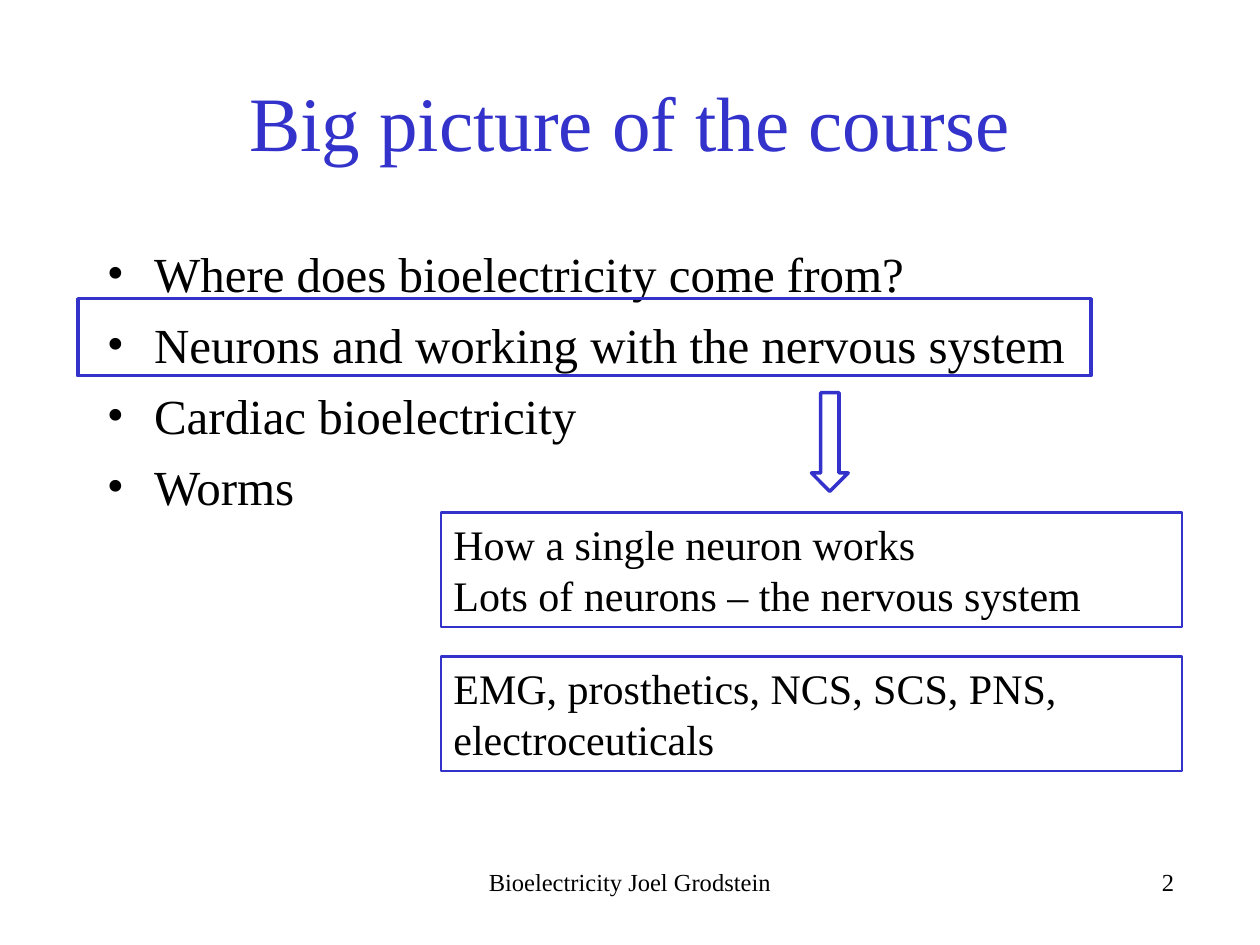
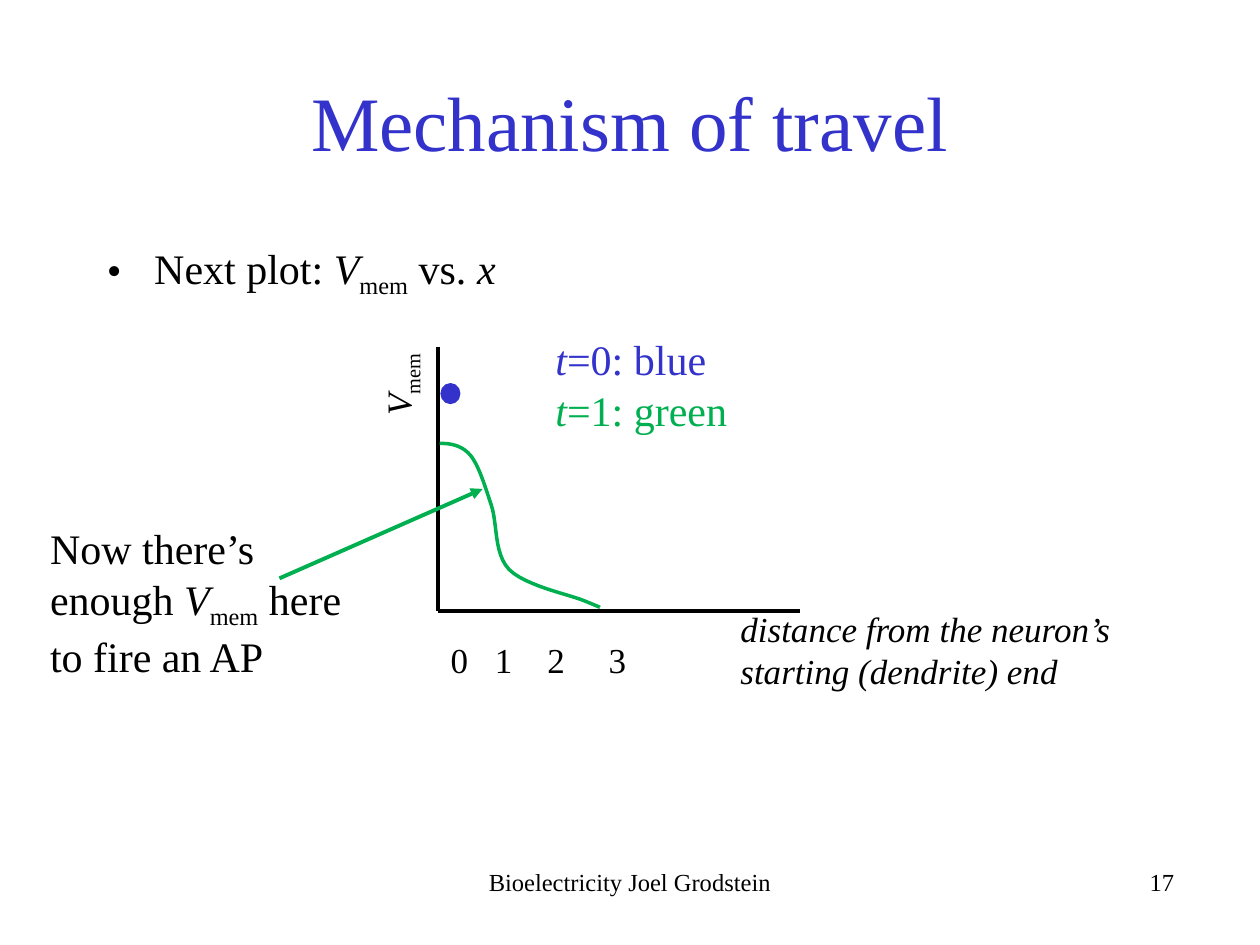
from lxml import etree
from pptx import Presentation
from pptx.dml.color import RGBColor
from pptx.enum.shapes import MSO_CONNECTOR, MSO_SHAPE
from pptx.enum.text import MSO_ANCHOR, PP_ALIGN
from pptx.oxml.ns import qn
from pptx.util import Pt

LEFT, CENTER, RIGHT = PP_ALIGN.LEFT, PP_ALIGN.CENTER, PP_ALIGN.RIGHT
TOP, MIDDLE = MSO_ANCHOR.TOP, MSO_ANCHOR.MIDDLE
RECT, OVAL, DOWN_ARROW = MSO_SHAPE.RECTANGLE, MSO_SHAPE.OVAL, MSO_SHAPE.DOWN_ARROW
STRAIGHT = MSO_CONNECTOR.STRAIGHT

FONT = "Times New Roman"
COLORS = {"text": "000000", "blue": "3333CC", "green": "00B050"}
FOOTER = "Bioelectricity Joel Grodstein"
INDENT = 27
V_MEM = [("V", "italic"), ("mem", "sub")]


def color(name):
    return RGBColor.from_string(COLORS[name])


def bezier(p0, p1, p2, p3, steps=12):
    """Points along a cubic curve, without its start."""
    for n in range(1, steps + 1):
        t = n / steps
        u = 1 - t
        yield tuple(u**3 * a + 3 * u * u * t * b + 3 * u * t * t * c + t**3 * d
                    for a, b, c, d in zip(p0, p1, p2, p3))


class Deck:
    def __init__(self):
        self.prs = Presentation()
        self.prs.slide_width, self.prs.slide_height = Pt(720), Pt(540)
        self.s = None

    def slide(self, title, number):
        self.s = self.prs.slides.add_slide(self.prs.slide_layouts[6])
        self.text((54, 24, 612, 90), [title], 44, "blue", CENTER, MIDDLE)
        self.text((246, 492, 228, 24), [FOOTER], 14, align=CENTER)
        self.text((450, 492, 228, 36), [str(number)], 14, align=RIGHT)

    def text(self, box, paragraphs, size, ink="text", align=LEFT, anchor=TOP):
        """Each paragraph is a string or a list of (text, style) pieces."""
        sp = self.s.shapes.add_textbox(*map(Pt, box))
        tf = sp.text_frame
        tf.word_wrap = True
        tf.vertical_anchor = anchor
        for n, content in enumerate(paragraphs):
            p = tf.add_paragraph() if n else tf.paragraphs[0]
            p.alignment = align
            pieces = [(content, "")] if isinstance(content, str) else content
            for piece, style in pieces:
                r = p.add_run()
                r.text = piece
                r.font.name, r.font.size = FONT, Pt(size)
                r.font.color.rgb = color(ink)
                r.font.italic = style == "italic"
                if style == "sub":
                    r._r.get_or_add_rPr().set("baseline", "-25000")
        return sp

    def bullets(self, box, paragraphs, size):
        sp = self.text(box, paragraphs, size)
        for n, p in enumerate(sp.text_frame.paragraphs):
            if n:
                p.space_before = Pt(size / 4)
            pPr = p._p.get_or_add_pPr()
            pPr.set("marL", str(Pt(INDENT)))
            pPr.set("indent", str(Pt(-INDENT)))
            etree.SubElement(pPr, qn("a:buFont")).set("typeface", FONT)
            etree.SubElement(pPr, qn("a:buChar")).set("char", "•")

    def boxed_text(self, box, paragraphs, size):
        self.outline(self.text(box, paragraphs, size), "blue", 1.5)

    def tabbed_text(self, box, items, stops, size):
        sp = self.text(box, ["\t".join(items)], size)
        pPr = sp.text_frame.paragraphs[0]._p.get_or_add_pPr()
        tabs = etree.SubElement(pPr, qn("a:tabLst"))
        for stop in stops:
            tab = etree.SubElement(tabs, qn("a:tab"))
            tab.set("pos", str(Pt(stop)))
            tab.set("algn", "l")

    def vertical_text(self, box, paragraphs, size):
        sp = self.text(box, paragraphs, size)
        sp.text_frame._txBody.bodyPr.set("vert", "vert270")

    def outline(self, sp, ink, width):
        sp.line.color.rgb = color(ink)
        sp.line.width = Pt(width)

    def shape(self, kind, box, ink, filled=False):
        sp = self.s.shapes.add_shape(kind, *map(Pt, box))
        sp.shadow.inherit = False
        if filled:
            sp.fill.solid()
            sp.fill.fore_color.rgb = color(ink)
        else:
            sp.fill.background()
        self.outline(sp, ink, 2)

    def line(self, start, end, ink="text", arrow=False):
        sp = self.s.shapes.add_connector(STRAIGHT, *map(Pt, start + end))
        self.outline(sp, ink, 2.25)
        etree.SubElement(sp._element.spPr, qn("a:effectLst"))
        if arrow:
            ln = sp.line._get_or_add_ln()
            etree.SubElement(ln, qn("a:tailEnd")).set("type", "triangle")

    def curve(self, start, segments, ink):
        points = [start]
        for segment in segments:
            points.extend(bezier(points[-1], *segment))
        points = [(Pt(x), Pt(y)) for x, y in points]
        fb = self.s.shapes.build_freeform(*points[0])
        fb.add_line_segments(points[1:], close=False)
        sp = fb.convert_to_shape()
        sp.shadow.inherit = False
        sp.fill.background()
        self.outline(sp, ink, 2)


def big_picture(deck):
    deck.slide("Big picture of the course", 2)
    deck.bullets((54, 135.5, 612, 348), [
        "Where does bioelectricity come from?",
        "Neurons and working with the nervous system",
        "Cardiac bioelectricity",
        "Worms",
    ], 28)
    deck.shape(RECT, (44.5, 170.7, 579, 44), "blue")
    details = [
        ["How a single neuron works", "Lots of neurons – the nervous system"],
        ["EMG, prosthetics, NCS, SCS, PNS, electroceuticals"],
    ]
    for n, lines in enumerate(details):
        deck.boxed_text((252, 293 + 82.2 * n, 423.4, 65.4), lines, 24)
    deck.shape(DOWN_ARROW, (463.7, 224.4, 21, 56.4), "blue")


def mechanism_of_travel(deck):
    deck.slide("Mechanism of travel", 17)
    deck.bullets((54, 135, 633, 155),
                 [[("Next plot: ", ""), *V_MEM, (" vs. ", ""), ("x", "italic")]], 24)

    origin = (250.5, 349)
    deck.line((250.5, 198), origin)
    deck.line((457, 349), origin)
    deck.vertical_text((211.7, 140.4, 38.9, 104.4), [V_MEM], 20)
    deck.tabbed_text((250.5, 361.5, 127.5, 31.5), "0123", (25.2, 55.2, 90.2), 20)
    deck.text((416, 343.4, 242, 55.7),
              [[("distance from the neuron’s starting (dendrite) end", "italic")]], 20)

    for n, ink in enumerate(("blue", "green")):
        deck.text((310.3, 187.2 + 28.8 * n, 126.7, 36),
                  [[("t", "italic"), (f"={n}: {ink}", "")]], 24, ink)
    deck.shape(OVAL, (252.7, 219.9, 9.4, 10), "blue", filled=True)
    deck.curve((251.3, 253.4), [
        ((257, 253.4), (263.5, 254.2), (268.6, 259.9)),
        ((273.6, 265.7), (277.2, 277.9), (280.8, 288.7)),
        ((284.4, 299.5), (282.2, 316.1), (290.9, 325.4)),
        ((300.2, 334.8), (325.4, 339.8), (334.1, 343.4)),
        ((342.7, 347), (342.7, 347), (342.7, 347)),
    ], "green")

    deck.text((21.5, 295.2, 188.6, 94.3),
              [[("Now there’s enough ", ""), *V_MEM, (" here to fire an AP", "")]], 24)
    deck.line((159.7, 330.5), (275.8, 279.4), "green", arrow=True)


def main():
    deck = Deck()
    big_picture(deck)
    mechanism_of_travel(deck)
    deck.prs.save("out.pptx")


if __name__ == "__main__":
    main()
